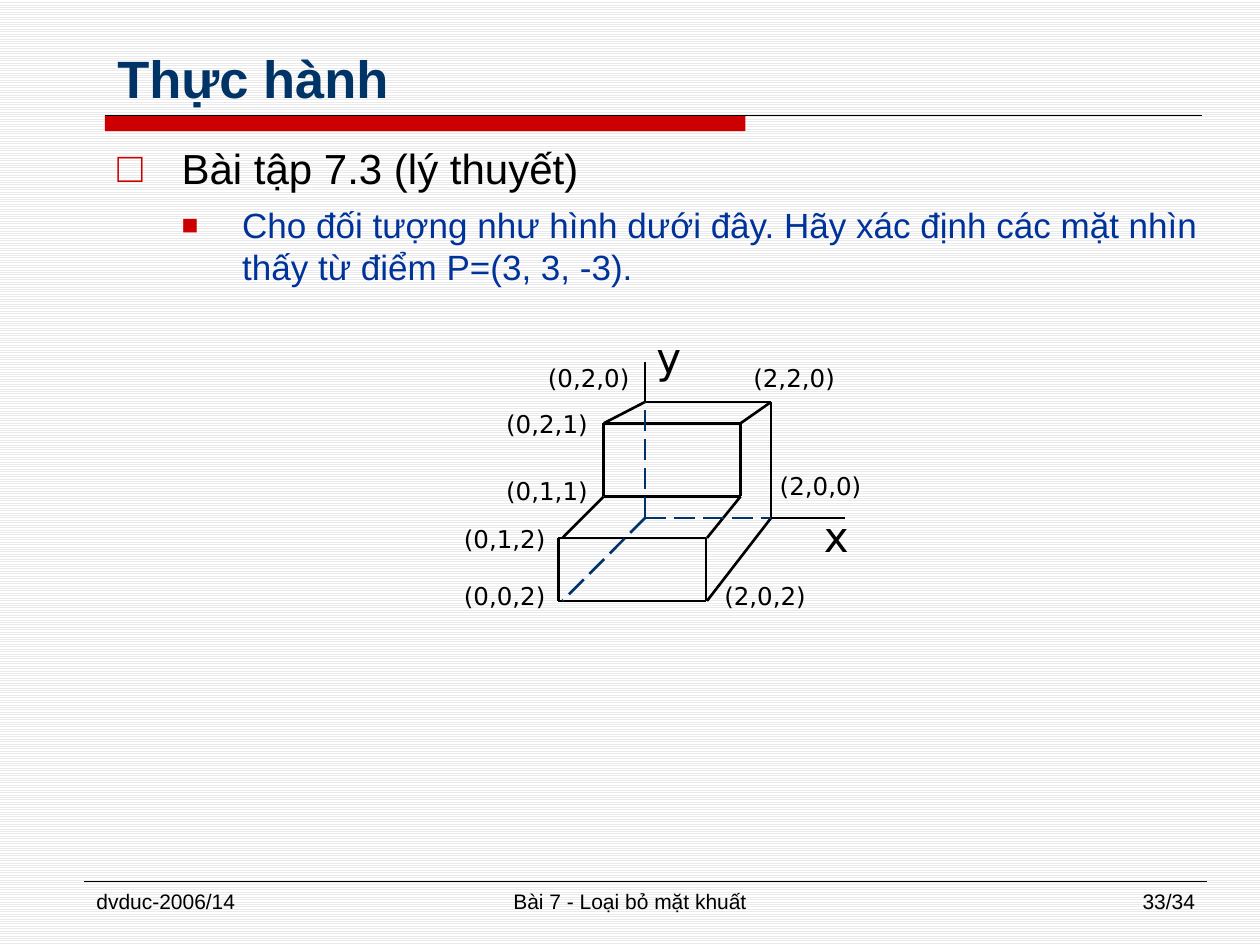
from dataclasses import dataclass

from lxml.etree import SubElement
from pptx import Presentation
from pptx.dml.color import RGBColor
from pptx.enum.dml import MSO_LINE, MSO_PATTERN
from pptx.enum.shapes import MSO_CONNECTOR, MSO_SHAPE
from pptx.enum.text import MSO_ANCHOR, MSO_AUTO_SIZE, PP_ALIGN
from pptx.oxml.ns import qn
from pptx.util import Pt


@dataclass(frozen=True)
class Theme:
    """Colours, fonts and type sizes of the slide."""
    ink: RGBColor = RGBColor(0, 0, 0)
    paper: RGBColor = RGBColor(255, 255, 255)
    stripe: RGBColor = RGBColor(0xEA, 0xEA, 0xEA)
    accent: RGBColor = RGBColor(0xCC, 0, 0)
    navy: RGBColor = RGBColor(0, 0x33, 0x66)
    blue: RGBColor = RGBColor(0, 0x33, 0x99)
    font: str = "Arial"
    label_font: str = "DejaVu Sans"
    title: int = 30
    topic: int = 24
    task: int = 20
    footer: int = 12
    vertex: int = 14
    axis: int = 24


THEME = Theme()


def style(paragraph, size, color, name=THEME.font, bold=False):
    """Set the font of a whole paragraph."""
    font = paragraph.font
    font.size, font.name, font.bold = Pt(size), name, bold
    font.color.rgb = color


def add_text(shapes, box, text, size, color, name=THEME.font, bold=False, wrap=True):
    """Add a one-paragraph text box and return its frame."""
    frame = shapes.add_textbox(*map(Pt, box)).text_frame
    frame.word_wrap = wrap
    frame.auto_size = MSO_AUTO_SIZE.NONE if wrap else MSO_AUTO_SIZE.SHAPE_TO_FIT_TEXT
    frame.text = text
    style(frame.paragraphs[0], size, color, name, bold)
    return frame


def add_line(shapes, start, end, color, width, dash=None):
    """Add a straight line without a shadow."""
    line = shapes.add_connector(MSO_CONNECTOR.STRAIGHT, *map(Pt, (*start, *end)))
    line.line.color.rgb, line.line.width = color, Pt(width)
    if dash:
        line.line.dash_style = dash
    SubElement(line._element.spPr, qn("a:effectLst"))


def add_bullet(paragraph, mark, indent, hang, scale=100):
    """Give a paragraph a coloured bullet with a hanging indent."""
    props = paragraph._p.get_or_add_pPr()
    props.set("marL", str(Pt(indent)))
    props.set("indent", str(-Pt(hang)))
    color = SubElement(props, qn("a:buClr"))
    SubElement(color, qn("a:srgbClr"), val=str(THEME.accent))
    SubElement(props, qn("a:buSzPct"), val=str(scale * 1000))
    SubElement(props, qn("a:buFont"), typeface=THEME.font)
    SubElement(props, qn("a:buChar"), char=mark)


def header(shapes, left, top, width, height):
    """Place the title above its rule and red bar."""
    frame = add_text(shapes, (left, top, width, height), "Thực hành",
                     THEME.title, THEME.navy, bold=True)
    frame.vertical_anchor = MSO_ANCHOR.BOTTOM
    rule = top + height
    bar = shapes.add_shape(MSO_SHAPE.RECTANGLE, *map(Pt, (left, rule, 366, 9)))
    bar.shadow.inherit = False
    bar.fill.solid()
    bar.fill.fore_color.rgb = THEME.accent
    bar.line.fill.background()
    add_line(shapes, (left, rule), (left + 627, rule), THEME.ink, 0.75)


def exercise(shapes, left, top, width, height):
    """Place the exercise heading and its task."""
    frame = add_text(shapes, (left, top, width, height), "Bài tập 7.3 (lý thuyết)",
                     THEME.topic, THEME.ink)
    topic, task = frame.paragraphs[0], frame.add_paragraph()
    task.text = ("Cho đối tượng như hình dưới đây. Hãy xác định các mặt nhìn "
                 "thấy từ điểm P=(3, 3, -3).")
    task.level = 1
    style(task, THEME.task, THEME.blue)
    for paragraph in (topic, task):
        paragraph.space_before = paragraph.space_after = Pt(3)
    add_bullet(topic, "□", 36.7, 36.7)
    add_bullet(task, "■", 71.3, 34.6, 80)


def solid_figure(shapes, left, top):
    """Draw the stepped solid with its axes and vertex labels."""
    group = shapes.add_group_shape().shapes
    back_left, back_right, back_top, base = 110.6, 182.6, 43.7, 110
    step_left, step_right, step_top, step_foot = 87, 165.2, 55.9, 97.7
    front_left, front_right, front_top, front_foot = 61, 145.4, 121.4, 157.4
    origin = (back_left, base)
    back_corner, right_corner = (back_left, back_top), (back_right, back_top)
    right_foot = (back_right, base)

    def outline(points, color=THEME.ink, dash=None):
        """Join successive points with lines."""
        placed = [(left + x, top + y) for x, y in points]
        for start, end in zip(placed, placed[1:]):
            add_line(group, start, end, color, 1.5, dash)

    def rectangle(x1, y1, x2, y2):
        """Outline an upright face."""
        outline([(x1, y1), (x2, y1), (x2, y2), (x1, y2), (x1, y1)])

    rectangle(step_left, step_top, step_right, step_foot)
    rectangle(front_left, front_top, front_right, front_foot)
    outline([(step_left, step_top), back_corner, right_corner, (step_right, step_top)])
    outline([(step_left, step_foot), (63.4, front_top)])
    outline([(step_right, step_foot), (146, front_top)])
    outline([right_corner, right_foot, (146, front_foot)])
    for hidden_end in (back_corner, (63.4, front_foot), right_foot):
        outline([origin, hidden_end], THEME.navy, MSO_LINE.LONG_DASH)
    outline([(back_left, 20.6), back_corner])
    outline([right_foot, (225, base)])

    vertices = {"(0,2,0)": (48, 17.8), "(2,2,0)": (165.4, 17.8),
                "(2,0,0)": (180.5, 79.7), "(0,2,1)": (24.2, 44.4),
                "(0,1,1)": (24.2, 82.6), "(0,1,2)": (0, 110),
                "(0,0,2)": (0, 142.3), "(2,0,2)": (148.8, 142.3)}
    axes = {"x": (205.7, 102.2), "y": (110, 0)}
    for labels, size, extent in ((vertices, THEME.vertex, (64.8, 24.5)),
                                 (axes, THEME.axis, (28.8, 36.7))):
        for text, (x, y) in labels.items():
            add_text(group, (left + x, top + y, *extent), text, size,
                     THEME.ink, THEME.label_font, wrap=False)


def footer(shapes, left, top, width, height):
    """Place the footer rule and its three texts."""
    add_line(shapes, (left, top), (left + width, top), THEME.ink, 0.25)
    side, middle = 156, 228
    for text, x, extent, align in (
            ("dvduc-2006/14", 0, side, PP_ALIGN.LEFT),
            ("Bài 7 - Loại bỏ mặt khuất", 198, middle, PP_ALIGN.CENTER),
            ("33/34", width - side, side, PP_ALIGN.RIGHT)):
        frame = add_text(shapes, (left + x, top + 0.75, extent, height), text,
                         THEME.footer, THEME.ink)
        frame.paragraphs[0].alignment = align


def main():
    """Build and save the slide."""
    deck = Presentation()
    deck.slide_width, deck.slide_height = Pt(720), Pt(540)
    slide = deck.slides.add_slide(deck.slide_layouts[6])
    backdrop = slide.background.fill
    backdrop.patterned()
    backdrop.pattern = MSO_PATTERN.LIGHT_HORIZONTAL
    backdrop.fore_color.rgb = THEME.stripe
    backdrop.back_color.rgb = THEME.paper
    header(slide.shapes, 60, 12, 648, 54)
    exercise(slide.shapes, 60, 78, 648, 426)
    solid_figure(slide.shapes, 258, 186)
    footer(slide.shapes, 48, 503.5, 642, 25)
    deck.save("out.pptx")


main()
